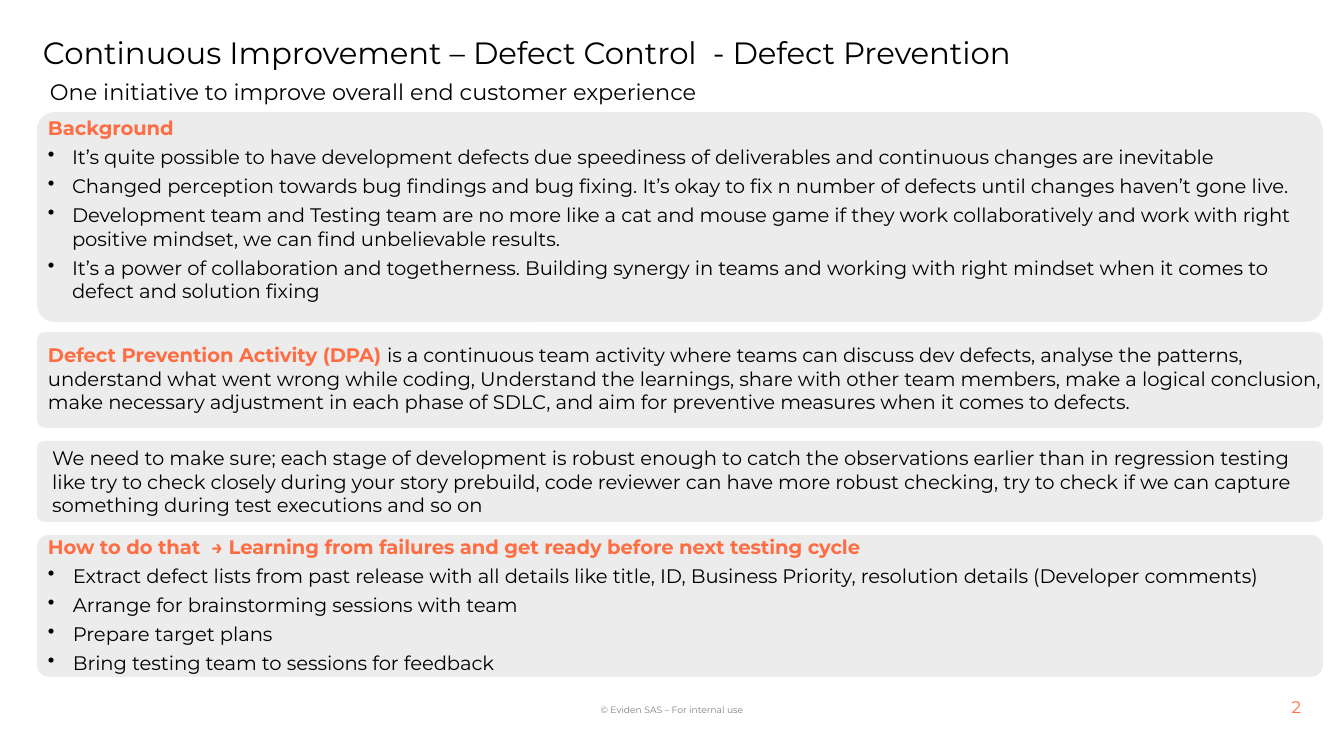
from dataclasses import dataclass

from lxml.etree import SubElement
from pptx import Presentation
from pptx.dml.color import RGBColor
from pptx.enum.shapes import MSO_SHAPE
from pptx.enum.text import MSO_ANCHOR, PP_ALIGN
from pptx.oxml.ns import qn
from pptx.util import Emu, Pt

EMU_PER_PX = 914400 / 134.4
FONT = "Montserrat"
BODY_SIZE = 10.5
COLORS = {
    "panel": "ECECED",
    "text": "000000",
    "accent": "FF6D43",
    "footer": "808080",
}


def px(n: int) -> Emu:
    return Emu(round(n * EMU_PER_PX))


@dataclass(frozen=True)
class Box:
    left: int
    top: int
    width: int
    height: int

    def emu(self) -> list[Emu]:
        return [px(n) for n in (self.left, self.top, self.width, self.height)]


@dataclass(frozen=True)
class Block:
    top: int
    height: int
    heading: str
    text: str = ""
    bullets: tuple[str, ...] = ()
    indent: int = 24


PANEL_LEFT, PANEL_WIDTH = 37, 1286
BLOCK_LEFT, BLOCK_WIDTH = 35, 1309
PANELS = [(535, 142), (332, 96), (112, 210), (441, 81)]  # top, height

BLOCKS = [
    Block(109, 210, "Background", bullets=(
        "It’s quite possible to have development defects due speediness of deliverables "
        "and continuous changes are inevitable",
        "Changed perception towards bug findings and bug fixing. It’s okay to fix n number "
        "of defects until changes haven’t gone live.",
        "Development team and Testing team are no more like a cat and mouse game if they work "
        "collaboratively and work with right positive mindset, we can find unbelievable results.",
        "It’s a power of collaboration and togetherness. Building synergy in teams and working "
        "with right mindset when it comes to defect and solution fixing",
    )),
    Block(336, 88, "Defect Prevention Activity (DPA) ", text=(
        "is a continuous team activity where teams can discuss dev defects, analyse the patterns, "
        "understand what went wrong while coding, Understand the learnings, share with other team "
        "members, make a logical conclusion, make necessary adjustment in each phase of SDLC, and "
        "aim for preventive measures when it comes to defects."
    )),
    Block(528, 156, "How to do that  → Learning from failures and get ready before next testing cycle",
          indent=25, bullets=(
              "Extract defect lists from past release with all details like title, ID, "
              "Business Priority, resolution details (Developer comments)",
              "Arrange for brainstorming sessions with team",
              "Prepare target plans",
              "Bring testing team to sessions for feedback",
          )),
]
ROBUST_STAGES = (
    "We need to make sure; each stage of development is robust enough to catch the observations "
    "earlier than in regression testing like try to check closely during your story prebuild, code "
    "reviewer can have more robust checking, try to check if we can capture something during test "
    "executions and so on"
)


def add_run(p, text: str, *, size: float = BODY_SIZE, color: str = "text", bold: bool = False) -> None:
    r = p.add_run()
    r.text = text
    r.font.name = FONT
    r.font.size = Pt(size)
    r.font.bold = bold
    r.font.color.rgb = RGBColor.from_string(COLORS[color])


def add_text(s, box: Box, text: str = "", *, align=PP_ALIGN.LEFT, anchor=MSO_ANCHOR.TOP,
             inset: tuple[int, int] = (13, 7), wrap: bool = True, **fmt):
    """Add a text box; inset is (horizontal, vertical)."""
    tf = s.shapes.add_textbox(*box.emu()).text_frame
    tf.word_wrap = wrap
    tf.vertical_anchor = anchor
    tf.margin_left = tf.margin_right = px(inset[0])
    tf.margin_top = tf.margin_bottom = px(inset[1])
    tf.paragraphs[0].alignment = align
    if text:
        add_run(tf.paragraphs[0], text, **fmt)
    return tf


def add_panel(s, box: Box):
    sp = s.shapes.add_shape(MSO_SHAPE.ROUNDED_RECTANGLE, *box.emu())
    sp.adjustments[0] = 0.085
    sp.shadow.inherit = False
    sp.fill.solid()
    sp.fill.fore_color.rgb = RGBColor.from_string(COLORS["panel"])
    sp.line.fill.background()
    return sp


def add_bullet(tf, text: str, indent: int) -> None:
    p = tf.add_paragraph()
    pPr = p._p.get_or_add_pPr()
    pPr.set("marL", str(px(indent)))
    pPr.set("indent", str(-px(indent)))
    SubElement(pPr, qn("a:buChar")).set("char", "•")
    p.space_after = Pt(3)
    add_run(p, text)


def add_block(s, block: Block) -> None:
    tf = add_text(s, Box(BLOCK_LEFT, block.top, BLOCK_WIDTH, block.height))
    p = tf.paragraphs[0]
    p.space_after = Pt(3)
    add_run(p, block.heading, color="accent", bold=True)
    if block.text:
        add_run(p, block.text)
    for bullet in block.bullets:
        add_bullet(tf, bullet, block.indent)


def main() -> None:
    prs = Presentation()
    prs.slide_width, prs.slide_height = px(1344), px(756)
    s = prs.slides.add_slide(prs.slide_layouts[6])

    # Page number and footer
    add_text(s, Box(1259, 695, 51, 24), "2", align=PP_ALIGN.RIGHT, anchor=MSO_ANCHOR.MIDDLE,
             inset=(9, 5), size=9, color="accent")
    add_text(s, Box(600, 704, 144, 11), "© Eviden SAS – For internal use", align=PP_ALIGN.CENTER,
             anchor=MSO_ANCHOR.MIDDLE, inset=(0, 0), wrap=False, size=4.9, color="footer")

    # Grey panels; the last one added carries its own text
    for top, height in PANELS:
        sp = add_panel(s, Box(PANEL_LEFT, top, PANEL_WIDTH, height))
    tf = sp.text_frame
    tf.word_wrap = True
    tf.vertical_anchor = MSO_ANCHOR.MIDDLE
    tf.paragraphs[0].alignment = PP_ALIGN.LEFT
    add_run(tf.paragraphs[0], ROBUST_STAGES)

    # Title and subtitle
    add_text(s, Box(30, 34, 1266, 38), "Continuous Improvement – Defect Control  - Defect Prevention",
             inset=(13, 0), size=16.5)
    add_text(s, Box(37, 71, 1266, 40), "One initiative to improve overall end customer experience", size=12)

    # Text over the other panels
    for block in BLOCKS:
        add_block(s, block)

    prs.save("out.pptx")


if __name__ == "__main__":
    main()
